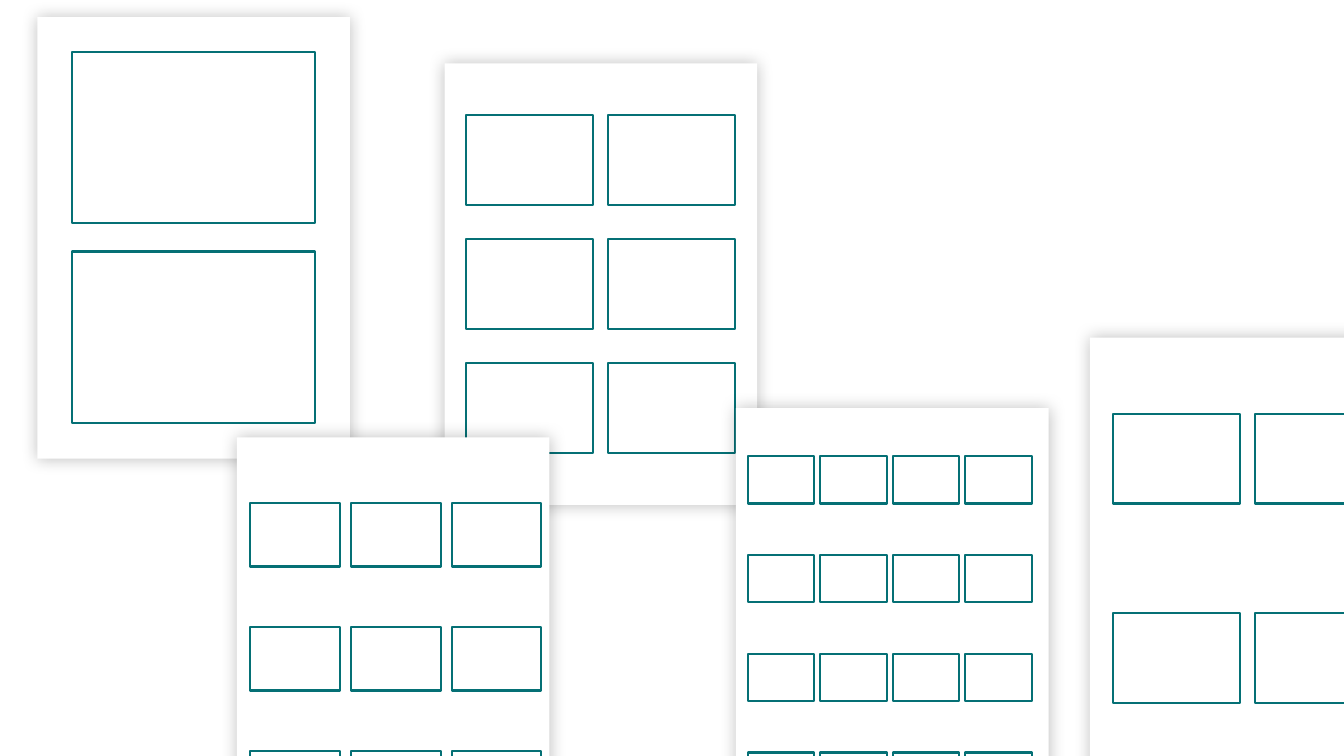
from lxml import etree
from pptx import Presentation
from pptx.dml.color import RGBColor
from pptx.enum.shapes import MSO_SHAPE as SHAPE
from pptx.oxml.ns import qn
from pptx.util import Inches, Pt

WHITE, TEAL, BLACK = "FFFFFF", "057075", "000000"
PAGE_W, PAGE_H = 3.1, 4.38

# Pages from back to front: page corner, first frame corner,
# frame size before its quarter turn, columns and rows, column and row pitch
PAGES = [
    dict(page=(0.37, 0.17), first=(1.07, 0.16), size=(1.7, 2.41), grid=(1, 2), pitch=(0, 1.98)),
    dict(page=(10.81, 3.35), first=(11.22, 3.92), size=(0.89, 1.26), grid=(2, 2), pitch=(1.41, 1.98)),
    dict(page=(4.41, 0.63), first=(4.81, 0.96), size=(0.89, 1.26), grid=(2, 3), pitch=(1.41, 1.23)),
    dict(page=(2.35, 4.34), first=(2.61, 4.86), size=(0.63, 0.89), grid=(3, 3), pitch=(1, 1.23)),
    dict(page=(7.3, 4.05), first=(7.51, 4.43), size=(0.47, 0.66), grid=(4, 4), pitch=(0.72, 0.98)),
]


def color(value):
    return RGBColor.from_string(value)


def add_rect(group, x, y, w, h):
    sp = group.shapes.add_shape(SHAPE.RECTANGLE, Inches(x), Inches(y), Inches(w), Inches(h))
    sp.shadow.inherit = False
    return sp


def add_glow_shadow(sp, blur=12, opacity=25):
    effects = sp._element.spPr.find(qn("a:effectLst"))
    shadow = etree.SubElement(effects, qn("a:outerShdw"), blurRad=str(Pt(blur)),
                              dist="0", dir="0", algn="ctr", rotWithShape="0")
    clr = etree.SubElement(shadow, qn("a:srgbClr"), val=BLACK)
    etree.SubElement(clr, qn("a:alpha"), val=str(opacity * 1000))


def add_page(group, x, y):
    sp = add_rect(group, x, y, PAGE_W, PAGE_H)
    sp.fill.solid()
    sp.fill.fore_color.rgb = color(WHITE)
    sp.line.fill.background()
    add_glow_shadow(sp)


def add_frame(group, x, y, w, h):
    sp = add_rect(group, x, y, w, h)
    sp.rotation = 270
    sp.fill.background()
    sp.line.color.rgb = color(TEAL)
    sp.line.width = Pt(1.5)


prs = Presentation()
prs.slide_width, prs.slide_height = Inches(13.33), Inches(7.5)
s = prs.slides.add_slide(prs.slide_layouts[6])

# Each page is a group: the sheet and its grid of photo frames
for layout in PAGES:
    group = s.shapes.add_group_shape()
    add_page(group, *layout["page"])
    x, y = layout["first"]
    dx, dy = layout["pitch"]
    cols, rows = layout["grid"]
    for row in range(rows):
        for col in range(cols):
            add_frame(group, x + col * dx, y + row * dy, *layout["size"])

prs.save("out.pptx")
